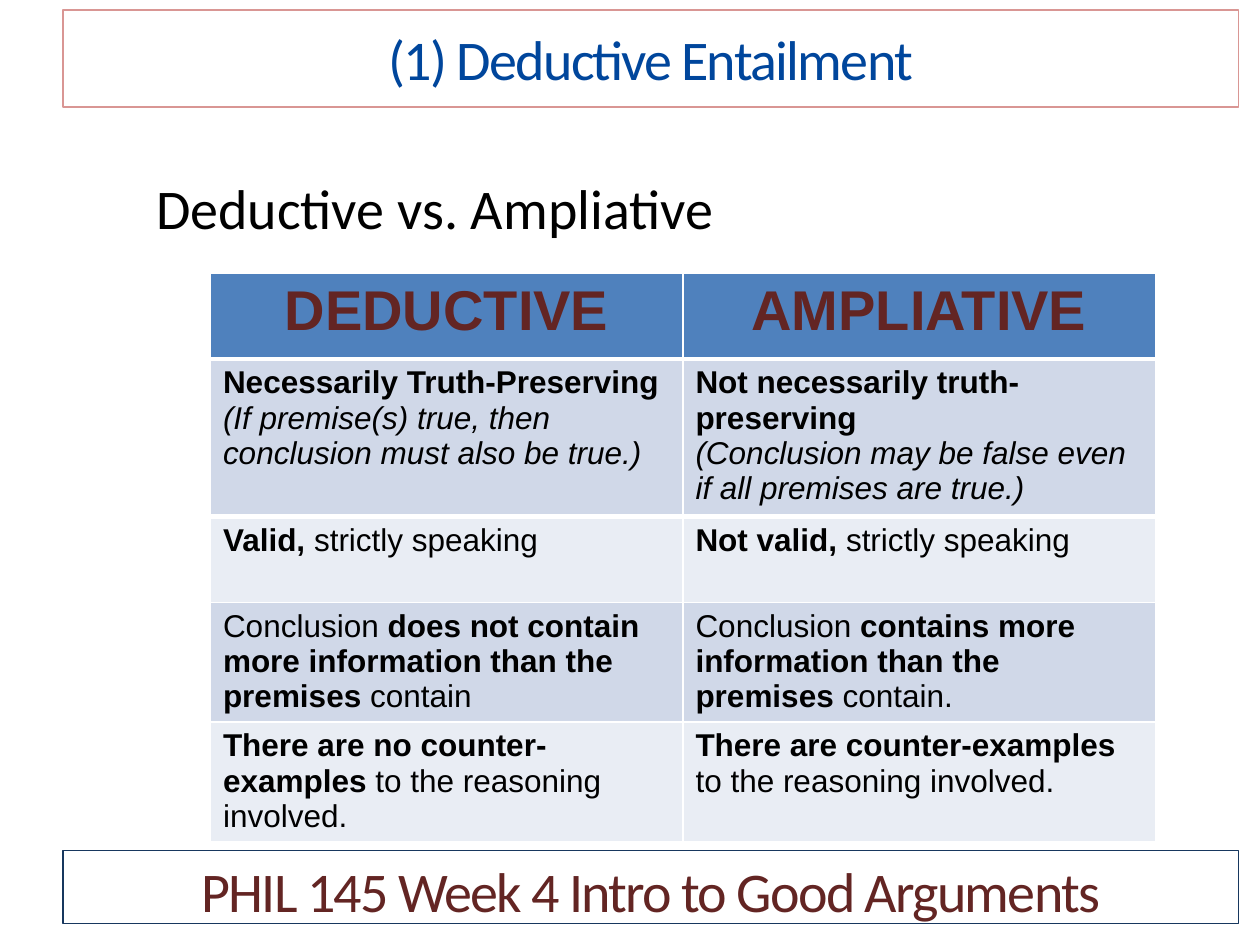
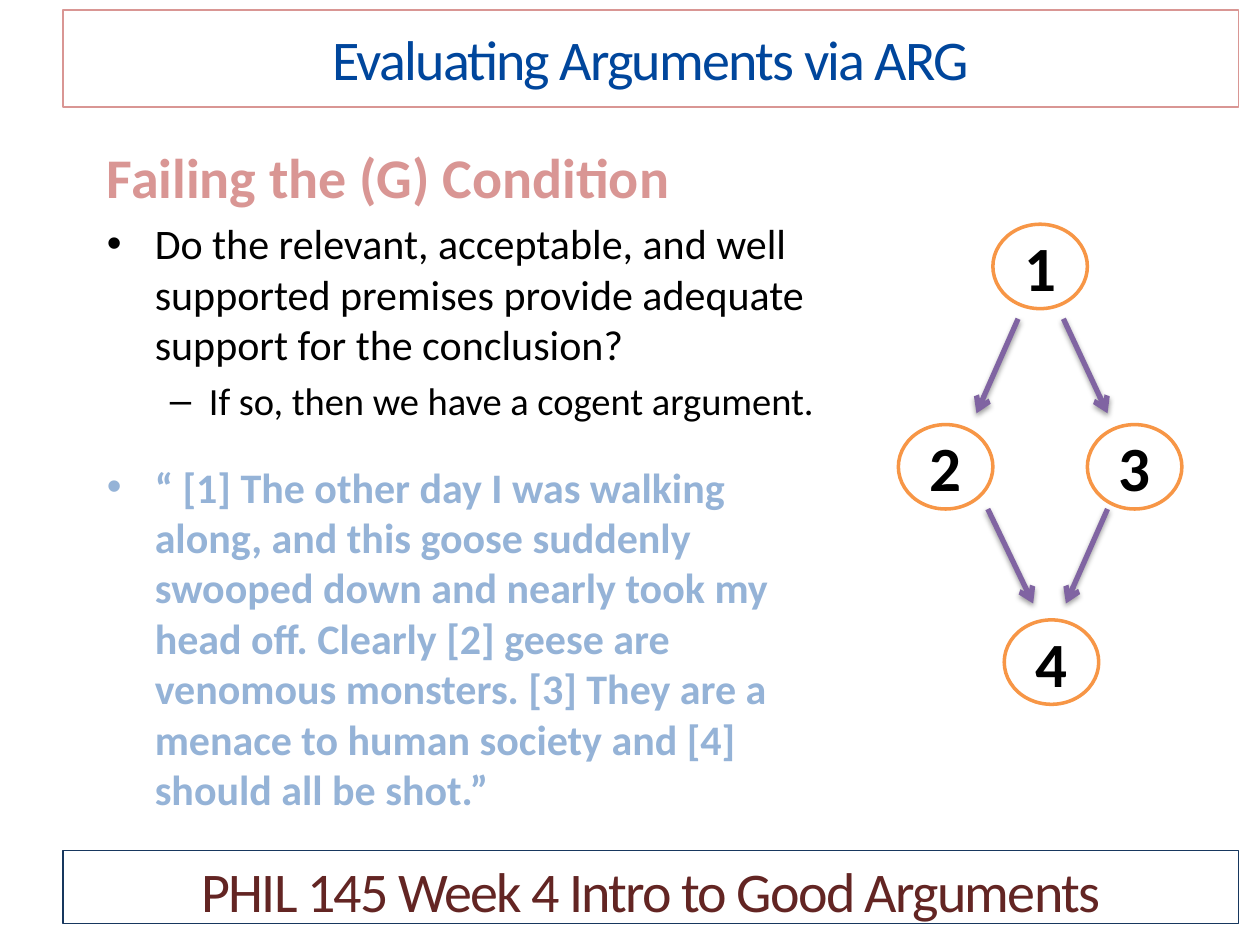
from lxml.etree import SubElement as Sub
from pptx import Presentation
from pptx.dml.color import RGBColor
from pptx.enum.shapes import MSO_CONNECTOR as Link, MSO_SHAPE as Kind
from pptx.enum.text import MSO_ANCHOR as Anchor, PP_ALIGN as Align
from pptx.oxml.ns import qn
from pptx.util import Inches, Pt

# Shared colours
BLACK, WHITE = "000000", "FFFFFF"
BLUE, NAVY, SKY = "00469C", "17375E", "95B3D7"
MAROON, ROSE = "632523", "D99694"
ORANGE, PURPLE = "F79646", "8064A2"
HEAD, BANDS = "4F81BD", ("D0D8E8", "E9EDF4")

COURSE = "PHIL 145 Week 4 Intro to Good Arguments"


def rgb(code):
    return RGBColor.from_string(code)


class Deck:
    """Holds the style and the current slide."""

    sans, plain = "Calibri", "Arial"

    def __init__(self):
        self.prs = Presentation()
        self.prs.slide_width, self.prs.slide_height = Inches(10), Inches(7.5)
        self.slide = None

    def page(self):
        self.slide = self.prs.slides.add_slide(self.prs.slide_layouts[6])

    def bands(self, title):
        """Adds the footer and title bands above the content."""
        self.band(6.75, 0.58, COURSE, MAROON, NAVY, Anchor.TOP)
        self.band(0.08, 0.77, title, BLUE, ROSE, Anchor.MIDDLE)

    def run(self, para, text, size, color, style="", font=None):
        run = para.add_run()
        run.text = text
        face = run.font
        face.name, face.size = font or self.sans, Pt(size)
        face.bold, face.italic = "b" in style, "i" in style
        face.color.rgb = rgb(color)
        return run

    def shape(self, kind, box, line, width, fill=None, anchor=Anchor.MIDDLE):
        """Adds an outlined shape and returns its centred paragraph."""
        item = self.slide.shapes.add_shape(kind, *map(Inches, box))
        item.shadow.inherit = False
        if fill:
            item.fill.solid()
            item.fill.fore_color.rgb = rgb(fill)
        else:
            item.fill.background()
        item.line.color.rgb = rgb(line)
        item.line.width = Pt(width)
        frame = item.text_frame
        frame.vertical_anchor = anchor
        para = frame.paragraphs[0]
        para.alignment = Align.CENTER
        return para

    def band(self, top, high, text, color, line, anchor):
        para = self.shape(Kind.RECTANGLE, (0.5, top, 9.33, high), line, 0.75,
                          anchor=anchor)
        run = self.run(para, text, 32, color)
        run._r.get_or_add_rPr().set("spc", "-100")

    def node(self, left, top, text):
        para = self.shape(Kind.OVAL, (left, top, 0.75, 0.67), ORANGE, 2, WHITE)
        self.run(para, text, 36, BLACK, "b")

    def arrow(self, *ends):
        item = self.slide.shapes.add_connector(Link.STRAIGHT, *map(Inches, ends))
        item.line.color.rgb = rgb(PURPLE)
        item.line.width = Pt(3)
        props = item.element.spPr
        Sub(props.find(qn("a:ln")), qn("a:tailEnd"), type="arrow")
        # Soft shadow straight below
        glow = Sub(Sub(props, qn("a:effectLst")), qn("a:outerShdw"),
                   blurRad=str(Pt(3.1)), dist=str(Pt(1.6)), dir="5400000",
                   rotWithShape="0")
        Sub(Sub(glow, qn("a:srgbClr"), val=BLACK), qn("a:alpha"), val="38000")

    def body(self, box, paras):
        """Each paragraph: text, size, colour, style, bullet, indents, gap."""
        frame = self.slide.shapes.add_textbox(*map(Inches, box)).text_frame
        frame.word_wrap = True
        for num, (text, size, color, style, mark, left, hang, gap) in enumerate(paras):
            para = frame.add_paragraph() if num else frame.paragraphs[0]
            para.space_before = Pt(gap)
            props = para._p.get_or_add_pPr()
            props.set("marL", str(Inches(left)))
            props.set("indent", str(Inches(-hang)))
            if mark:
                Sub(props, qn("a:buFont"), typeface=self.plain)
                Sub(props, qn("a:buChar"), char=mark)
            self.run(para, text, size, color, style)

    def edge(self, cell, side, width):
        props = cell._tc.get_or_add_tcPr()
        line = Sub(props, qn("a:" + side), w=str(Pt(width)))
        Sub(Sub(line, qn("a:solidFill")), qn("a:srgbClr"), val=WHITE)
        props.insert(0, line)

    def cell(self, cell, paras, fill, size, color, align=Align.LEFT):
        cell.fill.solid()
        cell.fill.fore_color.rgb = rgb(fill)
        cell.margin_bottom = 0
        frame = cell.text_frame
        for num, runs in enumerate(paras):
            para = frame.add_paragraph() if num else frame.paragraphs[0]
            para.alignment = align
            for text, style in runs:
                self.run(para, text, size, color, style, self.plain)

    def table(self, left, top, wide, highs, heads, rows):
        grid = self.slide.shapes.add_table(
            len(highs), len(heads), Inches(left), Inches(top),
            Inches(wide * len(heads)), Inches(sum(highs))).table
        for row, high in zip(grid.rows, highs):
            row.height = Inches(high)
        for col, text in enumerate(heads):
            self.cell(grid.cell(0, col), [[(text, "b")]], HEAD, 32, MAROON,
                      Align.CENTER)
            # Thick rule under the heading
            self.edge(grid.cell(0, col), "lnB", 3)
            self.edge(grid.cell(1, col), "lnT", 3)
        for num, row in enumerate(rows):
            for col, paras in enumerate(row):
                self.cell(grid.cell(num + 1, col), paras, BANDS[num % 2], 18, BLACK)


def versus(deck):
    deck.page()
    deck.body((1, 1.33, 8.5, 5.5),
              [("Deductive vs. Ampliative", 32, BLACK, "", "", 0.7, 0.56, 0)])
    rows = [
        ([[("Necessarily Truth-Preserving", "b")],
          [("(If premise(s) true, then conclusion must also be true.)", "i")]],
         [[("Not necessarily truth-preserving", "b")],
          [("(Conclusion may be false even if all premises are true.)", "i")]]),
        ([[("Valid, ", "b"), ("strictly speaking", "")]],
         [[("Not valid, ", "b"), ("strictly speaking", "")]]),
        ([[("Conclusion ", ""),
           ("does not contain more information than the premises ", "b"),
           ("contain", "")]],
         [[("Conclusion ", ""),
           ("contains more information than the premises ", "b"),
           ("contain.", "")]]),
        ([[("There are no counter-examples", "b"),
           (" to the reasoning involved.", "")]],
         [[("There are counter-examples ", "b"),
           ("to the reasoning involved.", "")]]),
    ]
    highs = (0.68, 1.21, 0.68, 0.94, 0.94)
    deck.table(1.67, 2.17, 3.75, highs, ("DEDUCTIVE", "AMPLIATIVE"), rows)
    deck.bands("(1) Deductive Entailment")


def failing(deck):
    deck.page()
    deck.body((0.75, 1.08, 5.92, 5.42), [
        ("Failing the (G) Condition", 32, ROSE, "b", "", 0.38, 0.38, 0),
        ("Do the relevant, acceptable, and well supported premises provide "
         "adequate support for the conclusion?",
         24, BLACK, "", "•", 0.38, 0.38, 4.8),
        ("If so, then we have a cogent argument.",
         22, BLACK, "", "–", 0.81, 0.31, 4.4),
        ("“ [1] The other day I was walking along, and this goose suddenly "
         "swooped down and nearly took my head off. Clearly [2] geese are "
         "venomous monsters. [3] They are a menace to human society and [4] "
         "should all be shot.”",
         24, SKY, "b", "•", 0.38, 0.38, 21.8),
    ])

    # Argument diagram
    spots = ((7.88, 1.78), (7.13, 3.37), (8.63, 3.37), (7.97, 4.92))
    for num, (left, top) in enumerate(spots, 1):
        deck.node(left, top, str(num))
    drop = 0.75
    for start, top, end in ((8.44, 2.53, 8.79), (8.08, 2.53, 7.75),
                            (7.84, 4.04, 8.2), (8.79, 4.04, 8.46)):
        deck.arrow(start, top, end, top + drop)
    deck.bands("Evaluating Arguments via ARG")


def main():
    deck = Deck()
    versus(deck)
    failing(deck)
    deck.prs.save("out.pptx")


if __name__ == "__main__":
    main()
